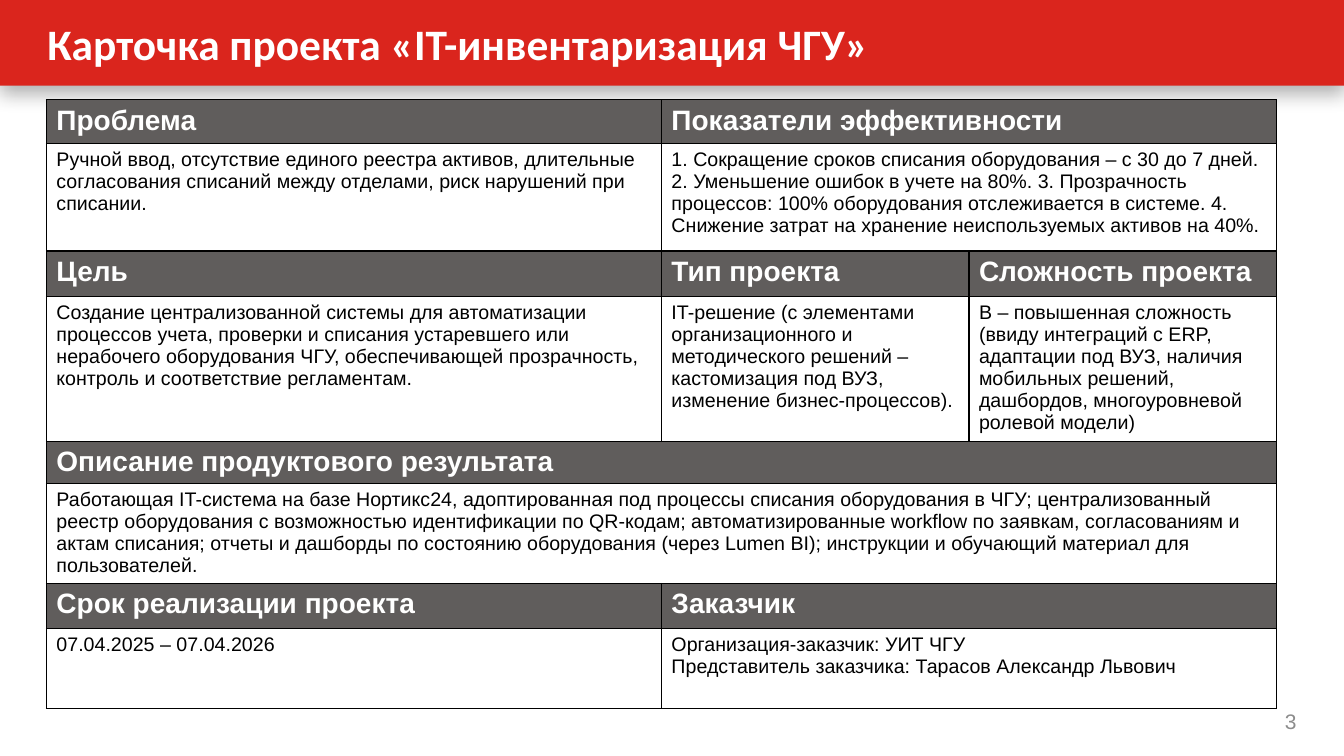
"""Build the project card slide for the IT inventory project."""
from dataclasses import dataclass

from lxml import etree
from pptx import Presentation
from pptx.dml.color import RGBColor
from pptx.enum.shapes import MSO_SHAPE
from pptx.enum.text import MSO_ANCHOR, PP_ALIGN
from pptx.oxml import parse_xml
from pptx.oxml.ns import nsdecls, qn
from pptx.util import Inches, Pt

RECTANGLE = MSO_SHAPE.RECTANGLE
MIDDLE = MSO_ANCHOR.MIDDLE
LEFT, RIGHT = PP_ALIGN.LEFT, PP_ALIGN.RIGHT

RED = RGBColor(0xDA, 0x25, 0x1D)
DARK_GRAY = RGBColor(0x60, 0x5D, 0x5C)
NUMBER_GRAY = RGBColor(0x8C, 0x8C, 0x8C)
WHITE = RGBColor(0xFF, 0xFF, 0xFF)
BLACK = RGBColor(0, 0, 0)

SLIDE_WIDTH, SLIDE_HEIGHT = 13.33, 7.5
BANNER_HEIGHT = 0.85
COLUMN_WIDTHS = (6.1, 3.05, 3.05)


@dataclass(frozen=True)
class TextStyle:
    font: str
    size: int
    color: RGBColor
    bold: bool = False
    align: PP_ALIGN = LEFT


@dataclass(frozen=True)
class Label:
    text: str
    left: float
    top: float
    width: float
    height: float
    style: TextStyle


@dataclass(frozen=True)
class Section:
    """Headings over their contents, each item as wide as its span in columns."""

    spans: tuple[int, ...]
    headings: tuple[str, ...]
    contents: tuple[str, ...]
    heading_height: float
    content_height: float


HEADING_STYLE = TextStyle("Arial", 20, WHITE, bold=True)
CONTENT_STYLE = TextStyle("Arial", 14, BLACK)

LABELS = (
    Label("3", 12.16, 6.95, 0.83, 0.4,
          TextStyle("Arial", 15, NUMBER_GRAY, align=RIGHT)),
    Label("Карточка проекта «IT-инвентаризация ЧГУ»", 0.34, 0, 12.16, BANNER_HEIGHT,
          TextStyle("Calibri", 31, WHITE, bold=True)),
)

SECTIONS = (
    Section(
        (1, 2),
        ("Проблема", "Показатели эффективности"),
        ("Ручной ввод, отсутствие единого реестра активов, длительные согласования "
         "списаний между отделами, риск нарушений при списании.",
         "1. Сокращение сроков списания оборудования – с 30 до 7 дней. "
         "2. Уменьшение ошибок в учете на 80%. 3. Прозрачность процессов: 100% "
         "оборудования отслеживается в системе. 4. Снижение затрат на хранение "
         "неиспользуемых активов на 40%."),
        0.43, 1.07),
    Section(
        (1, 1, 1),
        ("Цель", "Тип проекта", "Сложность проекта"),
        ("Создание централизованной системы для автоматизации процессов учета, "
         "проверки и списания устаревшего или нерабочего оборудования ЧГУ, "
         "обеспечивающей прозрачность, контроль и соответствие регламентам.",
         "IT-решение (с элементами организационного и методического решений – "
         "кастомизация под ВУЗ, изменение бизнес-процессов).",
         "B – повышенная сложность (ввиду интеграций с ERP, адаптации под ВУЗ, "
         "наличия мобильных решений, дашбордов, многоуровневой ролевой модели)"),
        0.45, 1.44),
    Section(
        (3,),
        ("Описание продуктового результата",),
        ("Работающая IT-система на базе Нортикс24, адоптированная под процессы "
         "списания оборудования в ЧГУ; централизованный реестр оборудования с "
         "возможностью идентификации по QR-кодам; автоматизированные workflow по "
         "заявкам, согласованиям и актам списания; отчеты и дашборды по состоянию "
         "оборудования (через Lumen BI); инструкции и обучающий материал для "
         "пользователей.",),
        0.42, 0.99),
    Section(
        (1, 2),
        ("Срок реализации проекта", "Заказчик"),
        ("07.04.2025 – 07.04.2026",
         "Организация-заказчик: УИТ ЧГУ\n"
         "Представитель заказчика: Тарасов Александр Львович"),
        0.45, 0.79),
)


def write_text(frame, text: str, style: TextStyle) -> None:
    frame.word_wrap = True
    frame.text = text
    for paragraph in frame.paragraphs:
        paragraph.alignment = style.align
        font = paragraph.font
        font.name, font.size, font.bold = style.font, Pt(style.size), style.bold
        font.color.rgb = style.color


def add_banner(slide) -> None:
    banner = slide.shapes.add_shape(
        RECTANGLE, 0, 0, Inches(SLIDE_WIDTH), Inches(BANNER_HEIGHT))
    banner.fill.solid()
    banner.fill.fore_color.rgb = RED
    banner.line.fill.background()
    banner.shadow.inherit = False
    effects = banner.element.spPr.find(qn("a:effectLst"))
    effects.append(parse_xml(
        f'<a:outerShdw {nsdecls("a")} blurRad="{Pt(14)}" dist="{Pt(5)}" '
        'dir="5400000" algn="t" rotWithShape="0"><a:srgbClr val="000000">'
        '<a:alpha val="31000"/></a:srgbClr></a:outerShdw>'))


def add_label(slide, label: Label) -> None:
    box = slide.shapes.add_textbox(
        Inches(label.left), Inches(label.top), Inches(label.width), Inches(label.height))
    frame = box.text_frame
    write_text(frame, label.text, label.style)
    frame.vertical_anchor = MIDDLE
    frame.margin_left = frame.margin_right = Inches(0.13)
    frame.margin_top = frame.margin_bottom = Inches(0.06)


def outline_cell(cell) -> None:
    properties = cell._tc.get_or_add_tcPr()
    for side in ("lnL", "lnR", "lnT", "lnB"):
        line = etree.SubElement(properties, qn(f"a:{side}"), w=str(Pt(1)))
        fill = etree.SubElement(line, qn("a:solidFill"))
        etree.SubElement(fill, qn("a:srgbClr"), val=str(BLACK))


def fill_row(table, row: int, spans: tuple[int, ...], texts: tuple[str, ...],
             style: TextStyle, background: RGBColor) -> None:
    column = 0
    for span, text in zip(spans, texts):
        cell = table.cell(row, column)
        if span > 1:
            cell.merge(table.cell(row, column + span - 1))
        write_text(cell.text_frame, text, style)
        column += span
    for cell in table.rows[row].cells:
        outline_cell(cell)
        cell.fill.solid()
        cell.fill.fore_color.rgb = background


def add_project_card(slide, sections: tuple[Section, ...]) -> None:
    heights = [height for section in sections
               for height in (section.heading_height, section.content_height)]
    table = slide.shapes.add_table(
        len(heights), len(COLUMN_WIDTHS), Inches(0.46), Inches(0.99),
        Inches(sum(COLUMN_WIDTHS)), Inches(sum(heights))).table
    table.first_row = table.horz_banding = False
    for column, width in zip(table.columns, COLUMN_WIDTHS):
        column.width = Inches(width)
    for row, height in zip(table.rows, heights):
        row.height = Inches(height)
    for index, section in enumerate(sections):
        fill_row(table, 2 * index, section.spans, section.headings,
                 HEADING_STYLE, DARK_GRAY)
        fill_row(table, 2 * index + 1, section.spans, section.contents,
                 CONTENT_STYLE, WHITE)


def main() -> None:
    presentation = Presentation()
    presentation.slide_width = Inches(SLIDE_WIDTH)
    presentation.slide_height = Inches(SLIDE_HEIGHT)
    slide = presentation.slides.add_slide(presentation.slide_layouts[6])
    add_banner(slide)
    add_project_card(slide, SECTIONS)
    for label in LABELS:
        add_label(slide, label)
    presentation.save("out.pptx")


if __name__ == "__main__":
    main()
